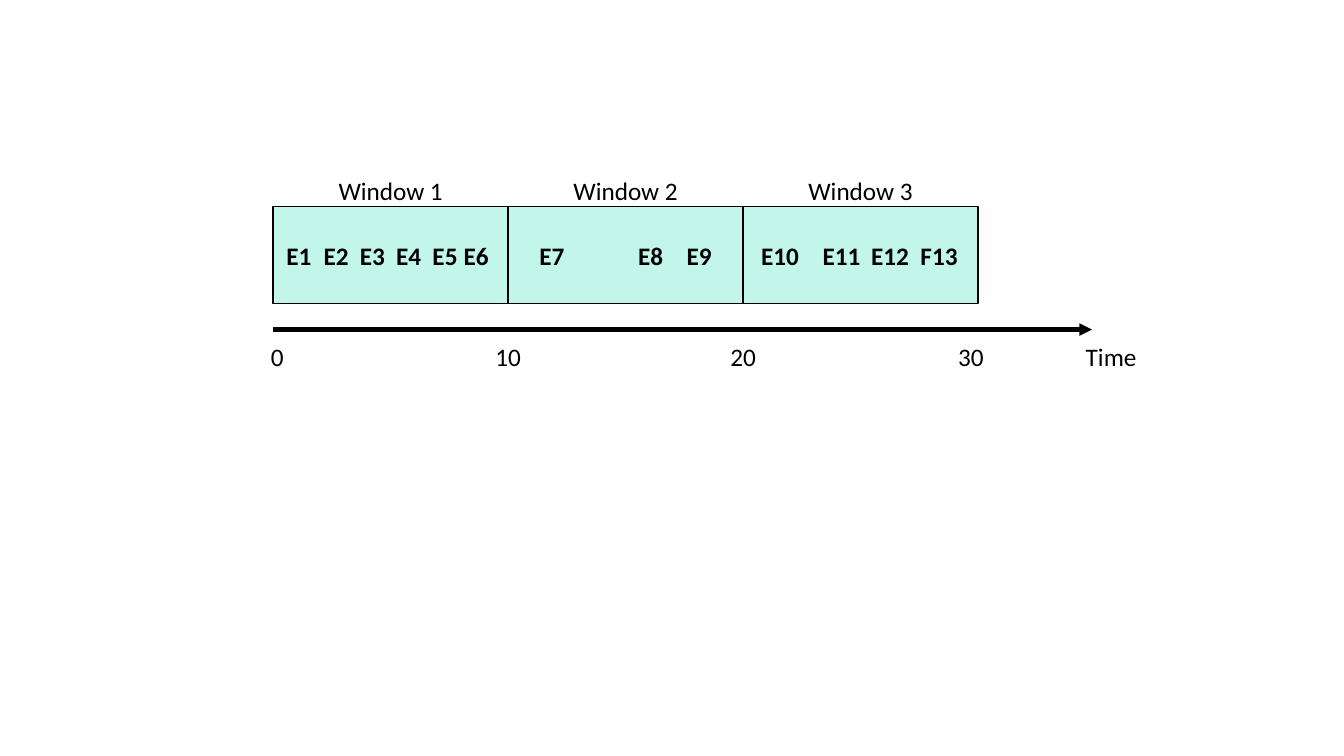
import pptx
import pptx.dml.color
import pptx.enum.shapes
import pptx.enum.text
import pptx.oxml
import pptx.util
from lxml import etree
from pptx.oxml.ns import qn

Inches = pptx.util.Inches
Pt = pptx.util.Pt
BLACK = pptx.dml.color.RGBColor(0x00, 0x00, 0x00)
MINT = pptx.dml.color.RGBColor(0x0F, 0xDE, 0xB0)
FONT = "Calibri"
CENTER = pptx.enum.text.PP_ALIGN.CENTER
LEFT = pptx.enum.text.PP_ALIGN.LEFT

WINDOW_WIDTH = 2.33
LABEL_HEIGHT = 0.4
WINDOWS = [
    ("Window 1", [("E1", 0.13), ("E2", 0.5), ("E3", 0.86),
                  ("E4", 1.22), ("E5", 1.58), ("E6", 1.89)]),
    ("Window 2", [("E7", 0.31), ("E8", 1.29), ("E9", 1.77)]),
    ("Window 3", [("E10", 0.18), ("E11", 0.79), ("E12", 1.27), ("F13", 1.76)]),
]
TIME_MARKS = [("0", 0.04), ("10", 2.33), ("20", 4.66), ("30", 6.92), ("Time", 8.31)]


def add_words(paragraph, words, bold=False):
    run = paragraph.add_run()
    run.text = words
    run.font.name = FONT
    run.font.size = Pt(18)
    run.font.bold = bold
    run.font.color.rgb = BLACK


def add_label(slide, words, center, top, width):
    label = slide.shapes.add_textbox(Inches(center - width / 2), Inches(top),
                                     Inches(width), Inches(LABEL_HEIGHT))
    label.text_frame.word_wrap = True
    paragraph = label.text_frame.paragraphs[0]
    paragraph.alignment = CENTER
    add_words(paragraph, words)


def add_events(frame, events):
    first_offset = events[0][1]
    frame.margin_left = Inches(first_offset)
    frame.margin_right = 0
    frame.word_wrap = True
    frame.vertical_anchor = pptx.enum.text.MSO_ANCHOR.MIDDLE
    paragraph = frame.paragraphs[0]
    paragraph.alignment = LEFT
    stops = etree.SubElement(paragraph._p.get_or_add_pPr(), qn("a:tabLst"))
    for _, offset in events[1:]:
        etree.SubElement(stops, qn("a:tab"),
                         pos=str(Inches(offset - first_offset)), algn="l")
    add_words(paragraph, "\t".join(event for event, _ in events), bold=True)


def add_window(slide, title, events, left, top, width, height):
    window = slide.shapes.add_shape(pptx.enum.shapes.MSO_SHAPE.RECTANGLE,
                                    Inches(left), Inches(top), Inches(width), Inches(height))
    window.shadow.inherit = False
    window.fill.solid()
    window.fill.fore_color.rgb = MINT
    tint = window.fill._xPr.find(qn("a:solidFill")).find(qn("a:srgbClr"))
    etree.SubElement(tint, qn("a:alpha"), val="25000")
    window.line.color.rgb = BLACK
    window.line.width = Pt(1)
    add_events(window.text_frame, events)
    add_label(slide, title, left + width / 2, top - 0.36, 1.25)


def add_time_axis(slide, left, top, width):
    axis = slide.shapes.add_connector(pptx.enum.shapes.MSO_CONNECTOR.STRAIGHT,
                                      Inches(left), Inches(top),
                                      Inches(left + width), Inches(top))
    axis.line.color.rgb = BLACK
    axis.line.width = Pt(3)
    etree.SubElement(axis.line._get_or_add_ln(), qn("a:tailEnd"), type="triangle")
    etree.SubElement(axis._element.spPr, qn("a:effectLst"))
    for mark, offset in TIME_MARKS:
        add_label(slide, mark, left + offset, top + 0.07, 0.8)


def add_timeline(slide, left, top):
    for index, (title, events) in enumerate(WINDOWS):
        add_window(slide, title, events, left + index * WINDOW_WIDTH, top, WINDOW_WIDTH, 0.96)
    add_time_axis(slide, left, top + 1.22, 8.12)


deck = pptx.Presentation()
deck.slide_width = Inches(13.33)
deck.slide_height = Inches(7.5)
add_timeline(deck.slides.add_slide(deck.slide_layouts[6]), 2.71, 2.05)
deck.save("out.pptx")
